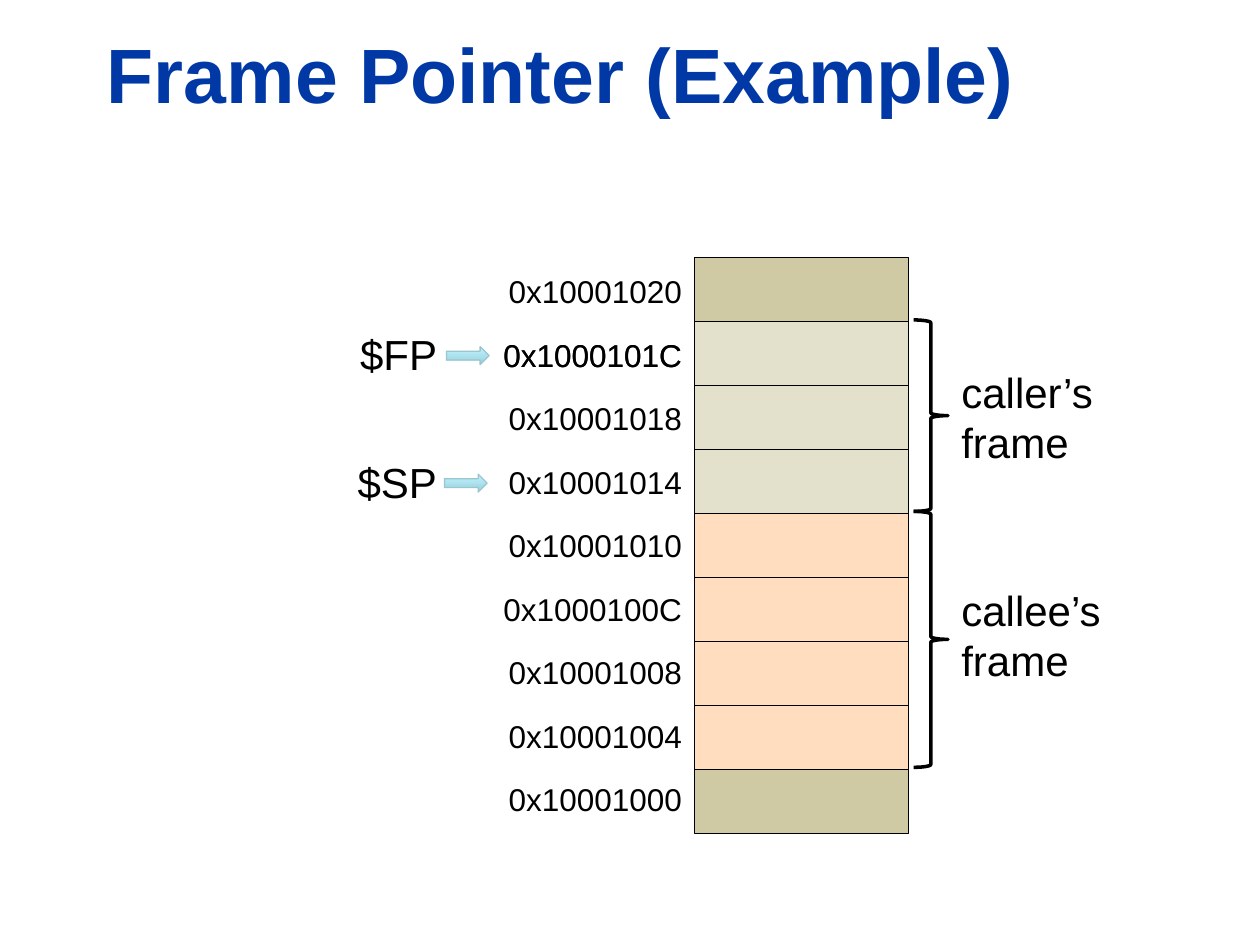
from pptx import Presentation
from pptx.dml.color import RGBColor
from pptx.enum.shapes import MSO_SHAPE
from pptx.enum.text import MSO_ANCHOR, MSO_AUTO_SIZE, PP_ALIGN
from pptx.util import Cm, Pt

COLORS = {
    "title": "0039A6", "ink": "000000", "outside": "CFCAA3",
    "caller": "E3E1CC", "callee": "FFDDBE",
    "arrow_dark": "97CFDB", "arrow_light": "C1F3FF", "arrow_edge": "9AC6D0",
}


def color(key):
    return RGBColor.from_string(COLORS[key])


def add_label(text, left, top, width, height, size, align=PP_ALIGN.LEFT):
    frame = slide.shapes.add_textbox(Cm(left), Cm(top), Cm(width), Cm(height)).text_frame
    frame.word_wrap = False
    frame.auto_size = MSO_AUTO_SIZE.SHAPE_TO_FIT_TEXT
    frame.text = text
    for paragraph in frame.paragraphs:
        paragraph.alignment = align
        for attribute, value in {"name": "Arial", "size": Pt(size)}.items():
            setattr(paragraph.font, attribute, value)
        paragraph.font.color.rgb = color("ink")


deck = Presentation()
deck.slide_width, deck.slide_height = Cm(25.4), Cm(19.05)
slide = deck.slides.add_slide(deck.slide_layouts[5])

title = slide.shapes.title
placement = {"left": Cm(1.9), "top": Cm(0.41), "width": Cm(22.94), "height": Cm(2.11)}
for attribute, value in placement.items():
    setattr(title, attribute, value)
title.text_frame.text = "Frame Pointer (Example)"
title.text_frame.vertical_anchor = MSO_ANCHOR.BOTTOM
heading = title.text_frame.paragraphs[0]
heading.alignment = PP_ALIGN.LEFT
for attribute, value in {"name": "Arial", "size": Pt(44), "bold": True}.items():
    setattr(heading.font, attribute, value)
heading.font.color.rgb = color("title")

stack_left, stack_top, row_height = 14, 5.19, 1.29
regions = ["outside"] + ["caller"] * 3 + ["callee"] * 4 + ["outside"]
for row, region in enumerate(regions):
    word = slide.shapes.add_shape(
        MSO_SHAPE.RECTANGLE, Cm(stack_left), Cm(stack_top + row * row_height),
        Cm(4.32), Cm(row_height))
    word.shadow.inherit = False
    word.fill.solid()
    word.fill.fore_color.rgb = color(region)
    word.line.color.rgb = color("ink")
    word.line.width = Pt(0.75)

pointer_row = 1
for row in [*range(len(regions)), pointer_row]:
    address = f"0x{0x10001020 - 4 * row:08X}"
    width = 4.14 if address.endswith("C") else 4.04
    add_label(address, stack_left - width, 5.36 + row * 1.28, width, 1.02, 18, PP_ALIGN.RIGHT)

registers = [("$FP", 7.01, 6.5, 2.06, 9), ("$SP", 6.96, 9.07, 2.11, 8.96)]
for register, left, top, width, arrow_left in registers:
    arrow = slide.shapes.add_shape(
        MSO_SHAPE.RIGHT_ARROW, Cm(arrow_left), Cm(top + 0.49), Cm(0.86), Cm(0.36))
    arrow.shadow.inherit = False
    arrow.fill.gradient()
    arrow.fill.gradient_angle = 90
    for stop, position, shade in zip(arrow.fill.gradient_stops, (0, 1), ("arrow_dark", "arrow_light")):
        stop.position = position
        stop.color.rgb = color(shade)
    arrow.line.color.rgb = color("arrow_edge")
    arrow.line.width = Pt(0.75)
    add_label(register, left, top, width, 1.27, 24)

frames = [("caller’s\nframe", 6.45, 3.86, 7.26, 3.2), ("callee’s\nframe", 10.31, 5.16, 11.66, 3.35)]
for owner, top, height, label_top, label_width in frames:
    brace = slide.shapes.add_shape(
        MSO_SHAPE.RIGHT_BRACE, Cm(18.42), Cm(top), Cm(0.69), Cm(height))
    brace.shadow.inherit = False
    brace.fill.background()
    brace.line.color.rgb = color("ink")
    brace.line.width = Pt(2)
    add_label(owner, 19.13, label_top, label_width, 2.31, 24)

deck.save("out.pptx")
